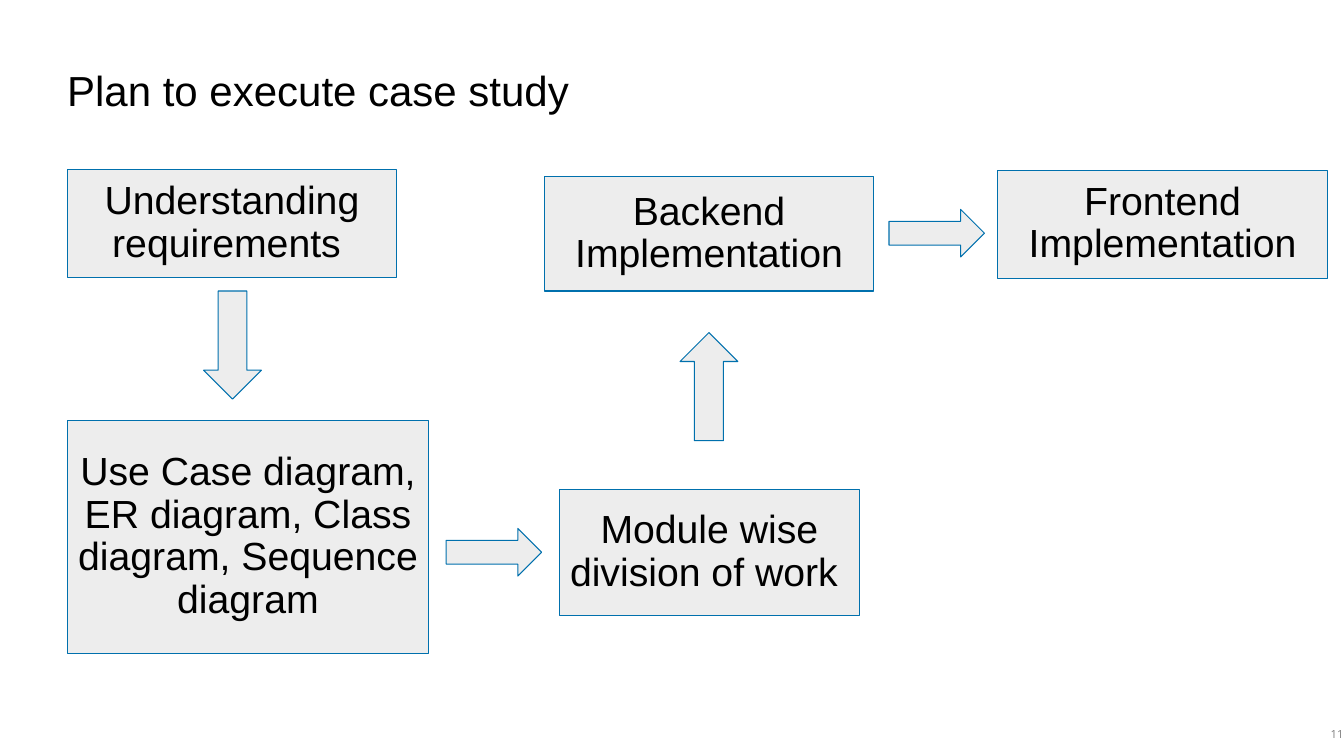
from pptx import Presentation, util as u
from pptx.dml.color import RGBColor
from pptx.enum import shapes, text

BLACK = RGBColor(0x00, 0x00, 0x00)
GREY = RGBColor(0x80, 0x80, 0x80)
PALE = RGBColor(0xED, 0xED, 0xED)
BLUE = RGBColor(0x00, 0x70, 0xAD)

presentation = Presentation()
presentation.slide_width = u.Inches(13.33)
presentation.slide_height = u.Inches(7.5)
slide = presentation.slides.add_slide(presentation.slide_layouts[5])


def share(left, top, width, height):
    """Turn percentages of the slide's width and height into lengths."""
    across, down = presentation.slide_width, presentation.slide_height
    return [int(percent * side / 100) for percent, side in
            zip((left, top, width, height), (across, down, across, down))]


def write(shape, wording, size, color, frame_format, paragraph_format, font="Arial"):
    """Put one formatted paragraph into a shape."""
    frame = shape.text_frame
    frame.text = wording
    paragraph = frame.paragraphs[0]
    run_font = paragraph.runs[0].font
    run_font.color.rgb = color
    for target, values in (
        (frame, {"word_wrap": True, **frame_format}),
        (paragraph, paragraph_format),
        (run_font, {"name": font, "size": u.Pt(size)}),
    ):
        for name, value in values.items():
            setattr(target, name, value)


SIDES = ("margin_left", "margin_top", "margin_right", "margin_bottom")
MIDDLE = {"vertical_anchor": text.MSO_ANCHOR.MIDDLE}
TITLE_FRAME = {**MIDDLE, "auto_size": text.MSO_AUTO_SIZE.NONE, **dict.fromkeys(SIDES, 0)}
STEP_FRAME = {**MIDDLE, **dict.fromkeys(SIDES, u.Inches(0.1))}
STEP_PARAGRAPH = {"alignment": text.PP_ALIGN.CENTER, "line_spacing": 0.9,
                  "space_before": u.Pt(10)}

title = slide.shapes.title
title.left, title.top, title.width, title.height = share(5, 4, 90, 16.67)
write(title, "Plan to execute case study", 30, BLACK, TITLE_FRAME,
      {"alignment": text.PP_ALIGN.LEFT, "line_spacing": 0.9})

# Steps and the arrows between them, in reading order
BOX = shapes.MSO_SHAPE.RECTANGLE
DOWN = shapes.MSO_SHAPE.DOWN_ARROW
UP = shapes.MSO_SHAPE.UP_ARROW
RIGHT = shapes.MSO_SHAPE.RIGHT_ARROW
UPRIGHT_SIZE = (4.3, 14.3)
SIDEWAYS_SIZE = (7.1, 6.3)
flow = [
    (BOX, (5, 22.4), (24.5, 14.3), "Understanding requirements "),
    (DOWN, (15.15, 38.5), UPRIGHT_SIZE, None),
    (BOX, (5, 55.6), (26.9, 30.8),
     "Use Case diagram, ER diagram, Class diagram, Sequence diagram"),
    (RIGHT, (33.2, 69.9), SIDEWAYS_SIZE, None),
    (BOX, (41.6, 64.7), (22.35, 16.7), "Module wise division of work "),
    (UP, (50.6, 44), UPRIGHT_SIZE, None),
    (BOX, (40.5, 23.3), (24.5, 15.2), "Backend Implementation"),
    (RIGHT, (66.15, 27.7), SIDEWAYS_SIZE, None),
    (BOX, (74.25, 22.5), (24.5, 14.3), "Frontend Implementation"),
]
for kind, corner, size, wording in flow:
    shape = slide.shapes.add_shape(kind, *share(*corner, *size))
    shape.shadow.inherit = False
    shape.fill.solid()
    shape.fill.fore_color.rgb = PALE
    shape.line.color.rgb = BLUE
    shape.line.width = u.Pt(0.75)
    if wording:
        write(shape, wording, 28, BLACK, STEP_FRAME, STEP_PARAGRAPH)

page_number = slide.shapes.add_textbox(*share(94.6, 95.6, 6.1, 3.1))
write(page_number, "11", 8, GREY, {}, {"alignment": text.PP_ALIGN.RIGHT}, "Open Sans")

presentation.save("out.pptx")
